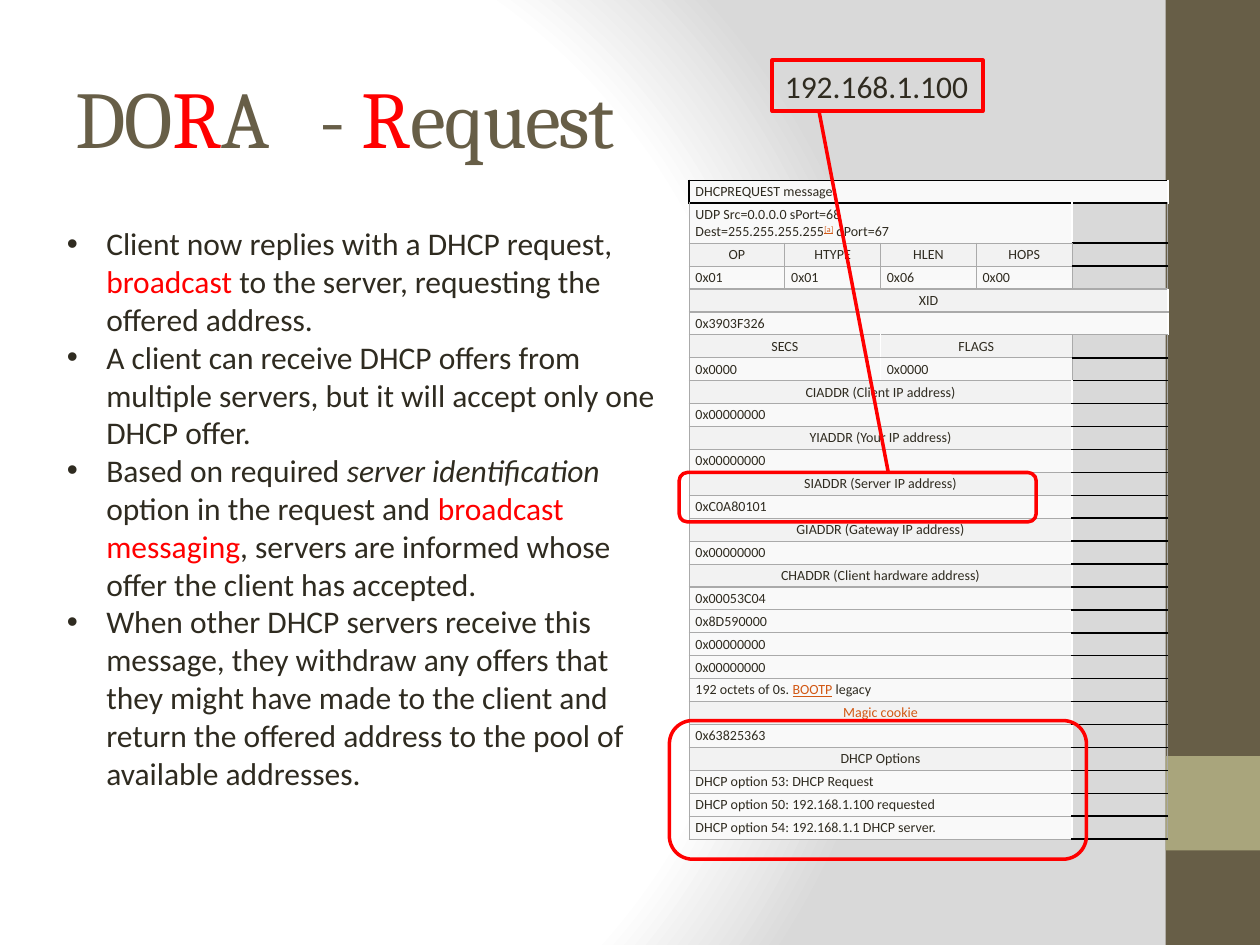
import pptx
import pptx.dml.color
import pptx.enum.shapes
import pptx.enum.text
import pptx.oxml
import pptx.oxml.ns
import pptx.util
from lxml import etree

Pt = pptx.util.Pt
Shape = pptx.enum.shapes.MSO_SHAPE
Align = pptx.enum.text.PP_ALIGN
Anchor = pptx.enum.text.MSO_ANCHOR
qn = pptx.oxml.ns.qn

INK, BROWN, OLIVE, RED, ORANGE = "2F2B20", "675E47", "A9A57C", "FF0000", "D25814"
GRID, BLACK = "AAAAAA", "000000"
LINK = {"color": ORANGE, "underline": True}
ALERT = {"color": RED}

BULLETS = [
    ["Client now replies with a DHCP request, ", ("broadcast ", ALERT),
     "to the server, requesting the offered address."],
    ["A client can receive DHCP offers from multiple servers, "
     "but it will accept only one DHCP offer."],
    ["Based on required ", ("server identification ", {"italic": True}),
     "option in the request and ", ("broadcast messaging", ALERT),
     ", servers are informed whose offer the client has accepted."],
    ["When other DHCP servers receive this message, they withdraw any offers that they "
     "might have made to the client and return the offered address to the pool of "
     "available addresses."],
]

# Each row: whether it names fields, columns per field, fields as lists of spans
NAME, VALUE = True, False
MESSAGE = [
    (VALUE, 5, [["DHCPREQUEST message"]]),
    (VALUE, 4, [["UDP Src=0.0.0.0 sPort=68\nDest=255.255.255.255",
                 ("[a]", {**LINK, "raised": True}), " dPort=67"]]),
    (NAME, 1, [["OP"], ["HTYPE"], ["HLEN"], ["HOPS"]]),
    (VALUE, 1, [["0x01"], ["0x01"], ["0x06"], ["0x00"]]),
    (NAME, 5, [["XID"]]),
    (VALUE, 5, [["0x3903F326"]]),
    (NAME, 2, [["SECS"], ["FLAGS"]]),
    (VALUE, 2, [["0x0000"], ["0x0000"]]),
    (NAME, 4, [["CIADDR (Client IP address)"]]),
    (VALUE, 4, [["0x00000000"]]),
    (NAME, 4, [["YIADDR (Your IP address)"]]),
    (VALUE, 4, [["0x00000000"]]),
    (NAME, 4, [["SIADDR (Server IP address)"]]),
    (VALUE, 4, [["0xC0A80101"]]),
    (NAME, 4, [["GIADDR (Gateway IP address)"]]),
    (VALUE, 4, [["0x00000000"]]),
    (NAME, 4, [["CHADDR (Client hardware address)"]]),
    (VALUE, 4, [["0x00053C04"]]),
    (VALUE, 4, [["0x8D590000"]]),
    (VALUE, 4, [["0x00000000"]]),
    (VALUE, 4, [["0x00000000"]]),
    (VALUE, 4, [["192 octets of 0s. ", ("BOOTP", LINK), " legacy"]]),
    (NAME, 4, [[("Magic cookie", LINK)]]),
    (VALUE, 4, [["0x63825363"]]),
    (NAME, 4, [["DHCP Options"]]),
    (VALUE, 4, [["DHCP option 53: DHCP Request"]]),
    (VALUE, 4, [["DHCP option 50: 192.168.1.100 requested"]]),
    (VALUE, 4, [["DHCP option 54: 192.168.1.1 DHCP server."]]),
]
COLUMNS = 5


def rgb(code):
    return pptx.dml.color.RGBColor.from_string(code)


def place(item, box):
    item.left, item.top, item.width, item.height = map(Pt, box)


def write(para, spans, size, font="Calibri", color=INK, align=Align.LEFT):
    """Fill a paragraph with spans, each a string or a (string, style) pair."""
    para.alignment = align
    para.font.size, para.font.name = Pt(size), font
    para.font.color.rgb = rgb(color)
    for span in spans:
        text, style = (span, {}) if isinstance(span, str) else span
        for number, line in enumerate(text.split("\n")):
            if number:
                para.add_line_break()
            run = para.add_run()
            run.text = line
            if "color" in style:
                run.font.color.rgb = rgb(style["color"])
            if "italic" in style:
                run.font.italic = True
            if "underline" in style:
                run.font.underline = True
            if "raised" in style:
                run._r.get_or_add_rPr().set("baseline", "30000")
            if "spacing" in style:
                run._r.get_or_add_rPr().set("spc", str(style["spacing"] * 100))


def add_box(page, kind, box, fill=None, line=None, weight=2):
    shape = page.shapes.add_shape(kind, *map(Pt, box))
    shape.shadow.inherit = False
    if fill:
        shape.fill.solid()
        shape.fill.fore_color.rgb = rgb(fill)
    else:
        shape.fill.background()
    if line:
        shape.line.color.rgb = rgb(line)
        shape.line.width = Pt(weight)
    else:
        shape.line.fill.background()
    return shape


def add_backdrop(page):
    """Radial white glow on grey."""
    page.background.fill.gradient()
    gradient = page.background._cSld.find(".//" + qn("a:gradFill"))
    for child in list(gradient):
        gradient.remove(child)
    stops = etree.SubElement(gradient, qn("a:gsLst"))
    for position, code in ((0, "FFFFFF"), (80000, "FFFFFF"), (100000, "D9D9D9")):
        stop = etree.SubElement(stops, qn("a:gs"), pos=str(position))
        etree.SubElement(stop, qn("a:srgbClr"), val=code)
    circle = etree.SubElement(gradient, qn("a:path"))
    circle.set("path", "circle")
    etree.SubElement(circle, qn("a:fillToRect"), l="10000", t="55000", r="90000", b="45000")


def add_sidebar(page, box):
    left, top, width, height = box
    add_box(page, Shape.RECTANGLE, box, fill=BROWN)
    add_box(page, Shape.RECTANGLE, (left, top + height * 0.8, width, width), fill=OLIVE)


def add_title(page, box):
    title = page.shapes.title
    place(title, box)
    title.text_frame.vertical_anchor = Anchor.MIDDLE
    tight = {"spacing": -1}
    red = {**tight, **ALERT}
    spans = [("DO", tight), ("R", red), ("A", tight), (" ", {"spacing": 18}),
             ("- ", tight), ("R", red), ("equest", tight)]
    write(title.text_frame.paragraphs[0], spans, 46, "Cambria", BROWN)


def add_bullets(page, box):
    body = page.placeholders[1]
    place(body, box)
    frame = body.text_frame
    frame.auto_size = pptx.enum.text.MSO_AUTO_SIZE.NONE
    for number, spans in enumerate(BULLETS):
        para = frame.add_paragraph() if number else frame.paragraphs[0]
        para.space_before = Pt(0)
        properties = para._p.get_or_add_pPr()
        properties.set("marL", str(Pt(22.5)))
        properties.set("indent", str(Pt(-22.5)))
        etree.SubElement(properties, qn("a:buFont"), typeface="Arial")
        etree.SubElement(properties, qn("a:buChar"), char="•")
        write(para, spans, 18)


def edge_below(row, column):
    if row <= 0:
        return BLACK
    open_end = column == COLUMNS - 1 and row not in (3, 4, 5)
    return BLACK if open_end else GRID


def set_borders(cell, sides):
    properties = cell._tc.get_or_add_tcPr()
    for number, (side, code) in enumerate(sides):
        line = etree.Element(qn("a:ln" + side), w=str(Pt(1 if code == BLACK else 0.75)))
        fill = etree.SubElement(line, qn("a:solidFill"))
        etree.SubElement(fill, qn("a:srgbClr"), val=code)
        properties.insert(number, line)


def add_message_table(page, box):
    table = page.shapes.add_table(len(MESSAGE), COLUMNS, *map(Pt, box)).table
    table.first_row = table.horz_banding = False
    for column in table.columns:
        column.width = Pt(box[2] / COLUMNS)
    for row, (is_name, span, fields) in enumerate(MESSAGE):
        table.rows[row].height = Pt(22.9 if row == 1 else 13.1)
        ends = [span * number for number in range(1, len(fields) + 1)]
        for column in range(COLUMNS):
            cell = table.cell(row, column)
            cell.margin_left = cell.margin_right = Pt(3.6)
            cell.margin_top = cell.margin_bottom = Pt(1.4)
            cell.vertical_anchor = Anchor.MIDDLE
            para = cell.text_frame.paragraphs[0]
            filled = column < ends[-1]
            if filled:
                cell.fill.solid()
                cell.fill.fore_color.rgb = rgb("F2F2F2" if is_name else "F9F9F9")
            else:
                cell.fill.background()
            if filled and column % span == 0:
                write(para, fields[column // span], 8,
                      align=Align.CENTER if is_name else Align.LEFT)
            else:
                para._p.get_or_add_endParaRPr().set("sz", "800")
            upright = BLACK if row == 0 else GRID
            sides = []
            if not filled or column % span == 0:
                sides.append(("L", upright))
            if not filled or column + 1 in ends:
                sides.append(("R", upright))
            sides += [("T", edge_below(row - 1, column)), ("B", edge_below(row, column))]
            set_borders(cell, sides)
        if span > 1:
            for end in ends:
                table.cell(row, end - span).merge(table.cell(row, end - 1))


def add_address_callout(page, label_box, target_box):
    """Red address label joined by a line to the field it marks."""
    add_box(page, Shape.ROUNDED_RECTANGLE, target_box, line=RED)
    label = add_box(page, Shape.RECTANGLE, label_box, line=RED, weight=2.25)
    label.text_frame.word_wrap = False
    write(label.text_frame.paragraphs[0], ["192.168.1.100"], 18)
    ends = (468, label_box[1] + label_box[3], 507.6, target_box[1])
    line = page.shapes.add_connector(pptx.enum.shapes.MSO_CONNECTOR.STRAIGHT, *map(Pt, ends))
    line.line.color.rgb = rgb(RED)
    line.line.width = Pt(2)
    etree.SubElement(line._element.spPr, qn("a:effectLst"))


def main():
    deck = pptx.Presentation()
    deck.slide_width, deck.slide_height = Pt(720), Pt(540)
    page = deck.slides.add_slide(deck.slide_layouts[1])
    add_backdrop(page)
    add_sidebar(page, (666, 0, 54, 540))
    add_title(page, (36, 21.6, 600, 90))
    add_bullets(page, (31, 124.6, 351.4, 334))
    add_message_table(page, (393.8, 103, 273.6, 376.6))
    add_box(page, Shape.ROUNDED_RECTANGLE, (382.5, 411.8, 238.3, 79.2), line=RED)
    add_address_callout(page, (441.4, 34.5, 120.2, 29), (388.1, 270, 204, 28.2))
    deck.save("out.pptx")


if __name__ == "__main__":
    main()
